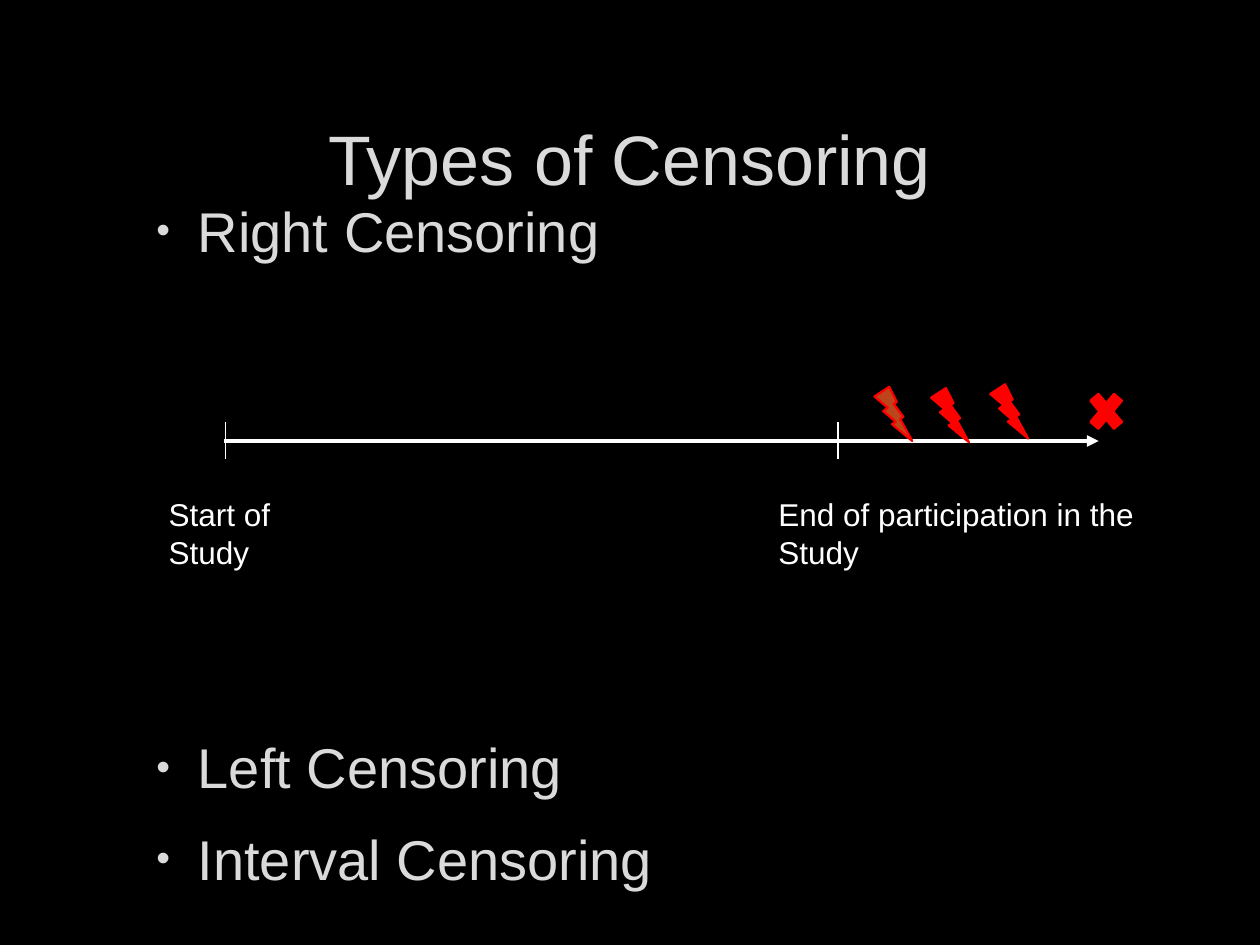
from lxml.etree import SubElement
from pptx import Presentation
from pptx.dml.color import RGBColor
from pptx.enum.shapes import MSO_CONNECTOR, MSO_SHAPE
from pptx.enum.text import MSO_ANCHOR, MSO_AUTO_SIZE, PP_ALIGN
from pptx.oxml.ns import qn
from pptx.util import Inches, Pt

BLACK, WHITE, GREY, RED, RUST = "000000", "FFFFFF", "DADADA", "FF0000", "BC451B"


def color(hex_text):
    return RGBColor.from_string(hex_text)


def add_bullet(para, hex_text, indent=0.38, hanging=0.33, percent=70):
    properties = para._p.get_or_add_pPr()
    properties.set("marL", str(Inches(indent)))
    properties.set("indent", str(-Inches(hanging)))
    bullet_color = SubElement(properties, qn("a:buClr"))
    SubElement(bullet_color, qn("a:srgbClr"), val=hex_text)
    SubElement(properties, qn("a:buSzPct"), val=str(percent * 1000))
    SubElement(properties, qn("a:buFont"), typeface="Arial")
    SubElement(properties, qn("a:buChar"), char="•")


def write(para, text, size=18, hex_text=WHITE, align=PP_ALIGN.LEFT,
          bullet=False, before=0, after=0):
    para.alignment = align
    para.space_before, para.space_after = Pt(before), Pt(after)
    if bullet:
        add_bullet(para, hex_text)
    span = para.add_run()
    span.text = text
    span.font.name, span.font.size = "Arial", Pt(size)
    span.font.color.rgb = color(hex_text)


class SlideBuilder:
    """Holds the current slide and draws each kind of element on it."""

    def __init__(self, page):
        self.page = page
        page.background.fill.solid()
        page.background.fill.fore_color.rgb = color(BLACK)

    def text_frame(self, left, top, width, height, side=0.1, above=0.05, below=0.05):
        box = self.page.shapes.add_textbox(
            Inches(left), Inches(top), Inches(width), Inches(height))
        frame = box.text_frame
        frame.word_wrap = True
        frame.margin_left = frame.margin_right = Inches(side)
        frame.margin_top, frame.margin_bottom = Inches(above), Inches(below)
        return frame

    def title(self, text):
        frame = self.text_frame(0.75, 0.67, 8.49, 1.06, above=0.1, below=0)
        frame.vertical_anchor = MSO_ANCHOR.MIDDLE
        write(frame.paragraphs[0], text, size=40, hex_text=GREY, align=PP_ALIGN.CENTER)

    def bullets(self, items):
        """Write (text, space before) pairs as one bulleted list."""
        frame = self.text_frame(1.12, 1.46, 7.88, 5.45, side=0.07, above=0.1)
        for index, (text, before) in enumerate(items):
            para = frame.add_paragraph() if index else frame.paragraphs[0]
            write(para, text, size=32, hex_text=GREY, bullet=True, before=before, after=6)

    def label(self, text, left, width):
        frame = self.text_frame(left, 3.88, width, 0.4)
        frame.auto_size = MSO_AUTO_SIZE.SHAPE_TO_FIT_TEXT
        write(frame.paragraphs[0], text)

    def line(self, x1, y1, x2, y2, weight=0.75, arrow=False):
        connector = self.page.shapes.add_connector(
            MSO_CONNECTOR.STRAIGHT, Inches(x1), Inches(y1), Inches(x2), Inches(y2))
        connector.line.color.rgb = color(WHITE)
        connector.line.width = Pt(weight)
        if arrow:
            SubElement(connector.line._get_or_add_ln(), qn("a:tailEnd"), type="triangle")
        SubElement(connector._element.spPr, qn("a:effectLst"))

    def marker(self, kind, left, top, width, fill=RED):
        shape = self.page.shapes.add_shape(
            kind, Inches(left), Inches(top), Inches(width), Inches(0.43))
        shape.shadow.inherit = False
        shape.fill.solid()
        shape.fill.fore_color.rgb = color(fill)
        shape.line.color.rgb = color(RED)
        shape.line.width = Pt(1.25)


def main():
    deck = Presentation()
    deck.slide_width, deck.slide_height = Inches(10), Inches(7.5)
    slide = SlideBuilder(deck.slides.add_slide(deck.slide_layouts[6]))

    slide.title("Types of Censoring")
    # The large space leaves room for the timeline.
    slide.bullets([("Right Censoring", 0), ("Left Censoring", 262), ("Interval Censoring", 8)])

    slide.line(1.78, 3.5, 8.72, 3.5, weight=2.25, arrow=True)
    for tick in (1.79, 6.65):
        slide.line(tick, 3.35, tick, 3.64)
    slide.label("Start of Study", 1.24, 1.6)
    slide.label("End of participation in the Study", 6.08, 3.51)

    for left, top, fill in ((6.94, 3.07, RUST), (7.39, 3.08, RED), (7.86, 3.05, RED)):
        slide.marker(MSO_SHAPE.LIGHTNING_BOLT, left, top, 0.3, fill)
    slide.marker(MSO_SHAPE.MATH_MULTIPLY, 8.6, 3.05, 0.36)

    deck.save("out.pptx")


if __name__ == "__main__":
    main()
